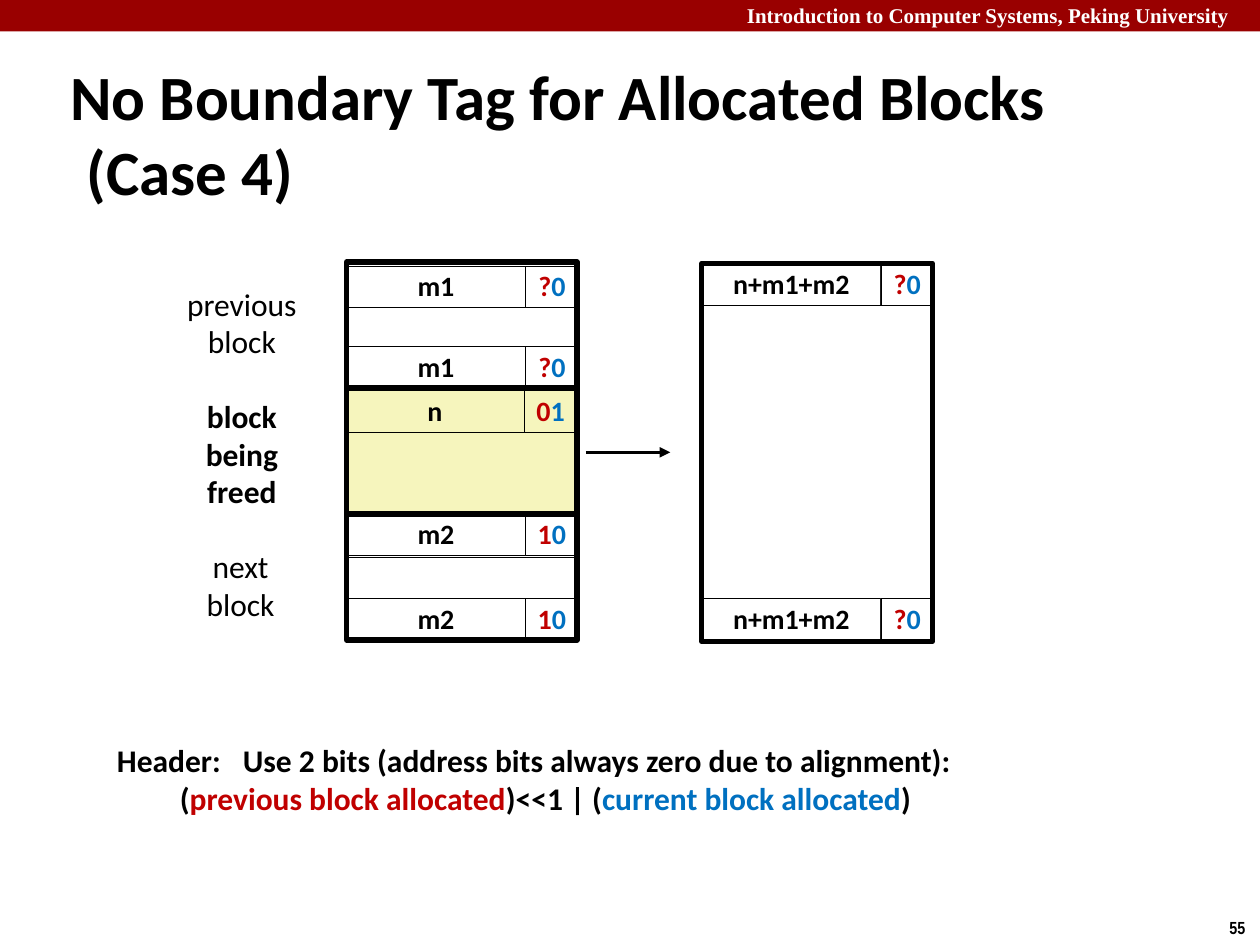
from dataclasses import dataclass
from typing import Optional

from lxml import etree
from pptx import Presentation
from pptx.dml.color import RGBColor
from pptx.enum import shapes, text
from pptx.oxml import ns
from pptx.util import Inches, Pt

BLACK, WHITE, RED, BLUE = "000000", "FFFFFF", "C00000", "0070C0"
BANNER, YELLOW = "990000", "F6F5BD"
LABEL_W, BITS_W, ROW_H = 1.42, 0.42, 0.33
BLOCK_W = 1.83
BEFORE_X, AFTER_X = 2.75, 5.57
CENTER = text.PP_ALIGN.CENTER


@dataclass
class Span:
    text: str
    color: str = BLACK


@dataclass
class Box:
    left: float
    top: float
    width: float
    height: float
    fill: Optional[str] = None
    line: Optional[float] = None


@dataclass
class TagRow:
    """A header or footer word: a size field and two allocation bits."""
    left: float
    top: float
    size: str
    bits: str
    fill: str = WHITE


@dataclass
class Caption:
    left: float
    top: float
    width: float
    height: float
    words: str
    bold: bool = False


def rgb(value: str) -> RGBColor:
    return RGBColor.from_string(value)


def write(s, spans: list[Span], size: float, font: str = "Calibri",
          bold: bool = True, align=None, wrap: bool = False):
    """Fill the first paragraph; a newline inside a span is a line break."""
    tf = s.text_frame
    tf.word_wrap = wrap
    p = tf.paragraphs[0]
    p.alignment = align
    for span in spans:
        for i, line in enumerate(span.text.split("\n")):
            if i:
                p.add_line_break()
            r = p.add_run()
            r.text = line
            r.font.name, r.font.size, r.font.bold = font, Pt(size), bold
            r.font.color.rgb = rgb(span.color)
    return p


def add_text(slide, box: Box, spans: list[Span], size: float, **style):
    s = slide.shapes.add_textbox(Inches(box.left), Inches(box.top),
                                 Inches(box.width), Inches(box.height))
    return s, write(s, spans, size, **style)


def add_box(slide, box: Box):
    s = slide.shapes.add_shape(shapes.MSO_SHAPE.RECTANGLE, Inches(box.left), Inches(box.top),
                               Inches(box.width), Inches(box.height))
    s.shadow.inherit = False
    if box.fill:
        s.fill.solid()
        s.fill.fore_color.rgb = rgb(box.fill)
    else:
        s.fill.background()
    if box.line:
        s.line.color.rgb = rgb(BLACK)
        s.line.width = Pt(box.line)
    else:
        s.line.fill.background()
    return s


def add_tag_row(slide, row: TagRow) -> None:
    bits = [Span(row.bits[0], RED), Span(row.bits[1], BLUE)]
    fields = [(row.left, LABEL_W, [Span(row.size)]), (row.left + LABEL_W, BITS_W, bits)]
    for left, width, spans in fields:
        s = add_box(slide, Box(left, row.top, width, ROW_H, row.fill, 0.25))
        s.text_frame.vertical_anchor = text.MSO_ANCHOR.MIDDLE
        write(s, spans, 16, align=CENTER).line_spacing = 0.98


def add_arrow(slide, x1: float, x2: float, y: float) -> None:
    s = slide.shapes.add_connector(shapes.MSO_CONNECTOR.STRAIGHT,
                                   Inches(x1), Inches(y), Inches(x2), Inches(y))
    s.line.color.rgb = rgb(BLACK)
    s.line.width = Pt(2)
    etree.SubElement(s.line._get_or_add_ln(), ns.qn("a:tailEnd"), type="triangle")
    etree.SubElement(s._element.spPr, ns.qn("a:effectLst"))


CAPTIONS = [
    Caption(1.37, 2.21, 1.1, 0.71, "previous\nblock"),
    Caption(1.53, 3.1, 0.78, 1.01, "block\nbeing\nfreed", bold=True),
    Caption(1.53, 4.29, 0.76, 0.71, "next\nblock"),
]
BODIES = [
    Box(BEFORE_X, 3.4, BLOCK_W, 0.67, YELLOW, 0.25),
    Box(BEFORE_X, 4.42, BLOCK_W, ROW_H, WHITE, 0.25),
    Box(AFTER_X, 2.42, BLOCK_W, 2.33, WHITE, 0.25),
]
TAG_ROWS = [
    TagRow(BEFORE_X, 2.11, "m1", "?0"),
    TagRow(BEFORE_X, 2.75, "m1", "?0"),
    TagRow(2.74, 3.1, "n", "01", YELLOW),
    TagRow(BEFORE_X, 4.08, "m2", "10"),
    TagRow(BEFORE_X, 4.75, "m2", "10"),
    TagRow(AFTER_X, 2.09, "n+m1+m2", "?0"),
    TagRow(AFTER_X, 4.75, "n+m1+m2", "?0"),
]
FRAMES = [Box(BEFORE_X, 2.08 + i, BLOCK_W, 1, line=3) for i in range(3)]
FRAMES.append(Box(AFTER_X, 2.09, BLOCK_W, 3, line=3))


def main() -> None:
    prs = Presentation()
    prs.slide_width, prs.slide_height = Inches(10), Inches(7.5)
    slide = prs.slides.add_slide(prs.slide_layouts[6])

    # Banner and page number
    add_box(slide, Box(0, 0, 10, 0.25, BANNER))
    add_text(slide, Box(5.83, -0.03, 4.24, 0.3),
             [Span("Introduction to Computer Systems, Peking University", WHITE)],
             12, font="Times New Roman", wrap=True)
    add_text(slide, Box(9.66, 7.23, 0.34, 0.27), [Span("55")], 10, font="Arial Narrow")

    # Title with a hanging indent
    s, p = add_text(slide, Box(0.46, 0.74, 9.08, 0.63),
                    [Span("No Boundary Tag for Allocated Blocks (Case 4)")], 36, wrap=True)
    s.text_frame.vertical_anchor = text.MSO_ANCHOR.MIDDLE
    pPr = p._p.get_or_add_pPr()
    pPr.set("marL", str(Inches(0.13)))
    pPr.set("indent", str(Inches(-0.13)))

    # Block captions
    for c in CAPTIONS:
        add_text(slide, Box(c.left, c.top, c.width, c.height), [Span(c.words)], 18,
                 bold=c.bold, align=CENTER)

    # Heap before and after coalescing
    for body in BODIES:
        add_box(slide, body)
    for row in TAG_ROWS:
        add_tag_row(slide, row)
    for frame in FRAMES:
        add_box(slide, frame)
    add_arrow(slide, 4.65, 5.32, 3.59)

    # Header format
    add_text(slide, Box(0.83, 5.83, 7.06, 0.71), [
        Span("Header: \tUse 2 bits (address bits always zero due to alignment):\n\t("),
        Span("previous block allocated", RED),
        Span(")<<1 | ("),
        Span("current block allocated", BLUE),
        Span(")"),
    ], 18)

    prs.save("out.pptx")


if __name__ == "__main__":
    main()
